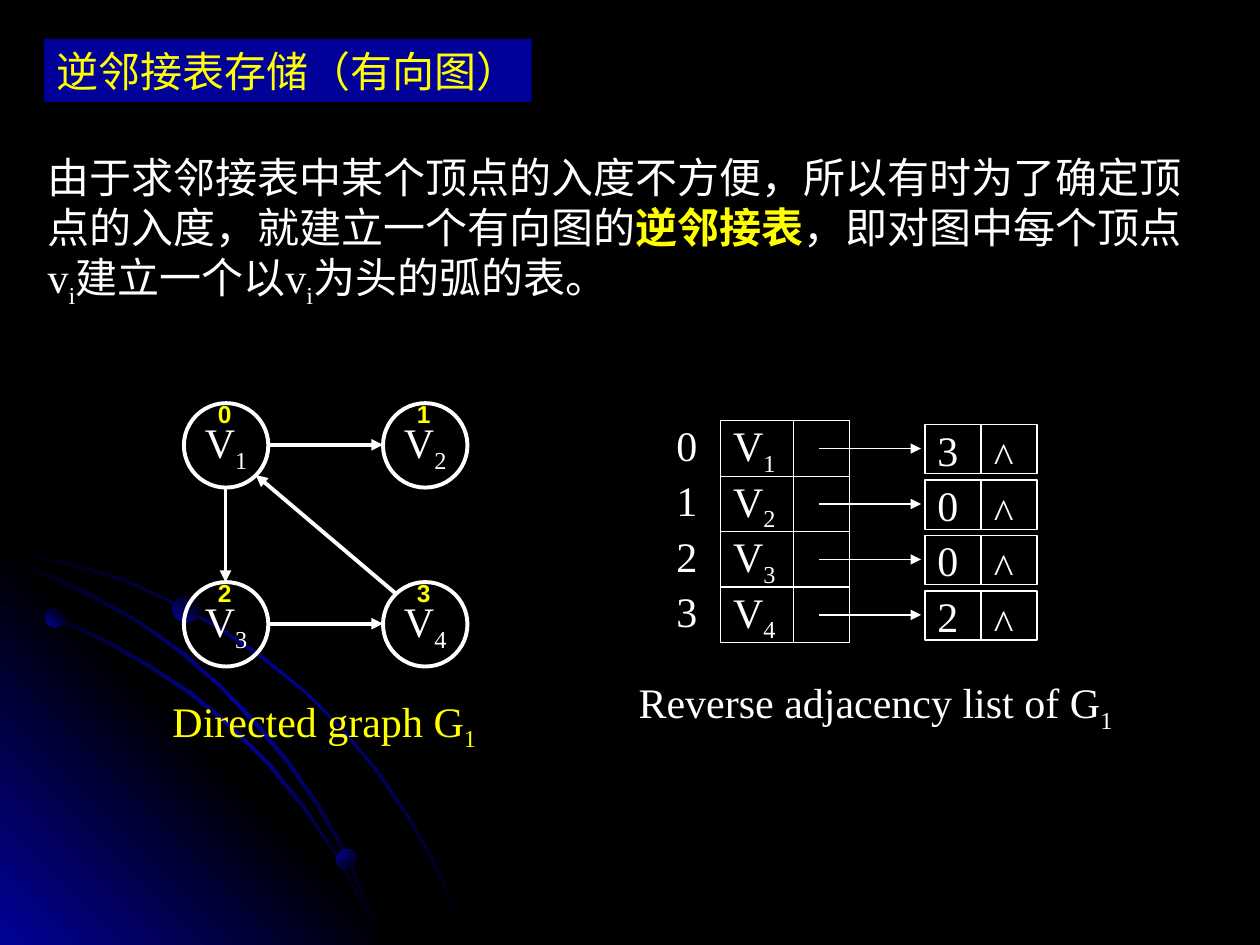
from dataclasses import dataclass

from lxml.etree import SubElement
from pptx import Presentation
from pptx.dml.color import RGBColor
from pptx.enum.shapes import MSO_CONNECTOR, MSO_SHAPE
from pptx.enum.text import MSO_ANCHOR, MSO_AUTO_SIZE, PP_ALIGN
from pptx.oxml import parse_xml
from pptx.oxml.ns import nsdecls, qn
from pptx.util import Inches, Pt

WHITE, YELLOW, BLUE, BLACK = "FFFFFF", "FFFF00", "010199", "000000"
SERIF, SANS, CJK = "Times New Roman", "Arial", "Noto Sans CJK SC"
ARC_STOPS = ((0, BLACK), (50, BLUE), (100, BLACK))
CORNER_STOPS = ((0, BLUE), (50, BLACK), (100, BLUE))
DOT_STOPS = ((0, BLUE), (100, BLACK))


@dataclass
class Piece:
    """A stretch of text with one look."""
    text: str
    color: str = WHITE
    bold: bool = False
    sub: bool = False
    size: float = 24
    font: str = SERIF


@dataclass
class Outline:
    """A background outline, with points in hundredths of an inch."""
    points: list[tuple[int, int]]
    stops: tuple
    angle: int


@dataclass
class Dot:
    left: float
    top: float
    size: float
    angle: int


OUTLINES = [
    Outline([(57, 447), (28, 441), (0, 435), (0, 438), (28, 443), (56, 449), (97, 461),
             (135, 478), (173, 499), (208, 523), (241, 549), (271, 579), (298, 612),
             (323, 649), (337, 673), (350, 698), (360, 723), (370, 749), (372, 749),
             (362, 723), (352, 698), (339, 673), (325, 648), (300, 611), (272, 578),
             (242, 548), (209, 521), (174, 497), (136, 477), (98, 459)], ARC_STOPS, 45),
    Outline([(322, 750), (0, 750), (0, 427)], CORNER_STOPS, 315),
    Outline([(285, 714), (294, 732), (301, 749), (303, 749), (296, 730), (286, 712),
             (266, 676), (242, 640), (215, 606), (184, 576), (152, 549), (117, 526),
             (79, 505), (41, 488), (0, 475), (0, 477), (39, 490), (77, 507), (115, 528),
             (150, 551), (183, 578), (213, 608), (240, 641), (265, 677)], ARC_STOPS, 45),
    Outline([(0, 442), (0, 444), (36, 457), (74, 475), (109, 494), (142, 518), (173, 544),
             (202, 575), (227, 605), (252, 641), (267, 667), (280, 694), (292, 722),
             (301, 749), (303, 749), (294, 720), (282, 693), (269, 665), (254, 639),
             (229, 603), (204, 573), (175, 543), (144, 516), (111, 493), (76, 473),
             (39, 455)], ARC_STOPS, 45),
]
DOTS = [Dot(0.36, 4.83, 0.15, 315), Dot(2.67, 6.74, 0.16, 45), Dot(1.37, 4.73, 0.21, 315)]

presentation = Presentation()
presentation.slide_width, presentation.slide_height = Inches(10), Inches(7.5)
slide = presentation.slides.add_slide(presentation.slide_layouts[6])
shapes = slide.shapes


def color(code: str) -> RGBColor:
    return RGBColor.from_string(code)


def fill_gradient(shape, stops: tuple, angle: int) -> None:
    shape.shadow.inherit = False
    shape.line.fill.background()
    shape.fill.background()
    marks = "".join(f'<a:gs pos="{place * 1000}"><a:srgbClr val="{code}"/></a:gs>'
                    for place, code in stops)
    gradient = parse_xml(f'<a:gradFill {nsdecls("a")} rotWithShape="1"><a:gsLst>{marks}'
                         f'</a:gsLst><a:lin ang="{angle * 60000}" scaled="1"/></a:gradFill>')
    properties = shape._element.spPr
    properties.replace(properties.find(qn("a:noFill")), gradient)


def write(frame, pieces: list[Piece], wrap: bool = False) -> None:
    frame.word_wrap = wrap
    paragraph = frame.paragraphs[0]
    for piece in pieces:
        run = paragraph.add_run()
        run.text = piece.text
        font = run.font
        font.name, font.size, font.bold = piece.font, Pt(piece.size), piece.bold
        font.color.rgb = color(piece.color)
        SubElement(font._element, qn("a:ea")).set("typeface", CJK)
        if piece.sub:
            font._element.set("baseline", "-25000")


def add_text(left: float, top: float, width: float, height: float,
             pieces: list[Piece], wrap: bool = False):
    box = shapes.add_textbox(Inches(left), Inches(top), Inches(width), Inches(height))
    write(box.text_frame, pieces, wrap)
    box.text_frame.auto_size = MSO_AUTO_SIZE.SHAPE_TO_FIT_TEXT
    return box


def add_outlined(kind: MSO_SHAPE, left: float, top: float, width: float, height: float,
                 weight: float, pieces: list[Piece], align: PP_ALIGN = PP_ALIGN.LEFT):
    shape = shapes.add_shape(kind, Inches(left), Inches(top), Inches(width), Inches(height))
    shape.shadow.inherit = False
    shape.fill.background()
    shape.line.color.rgb = color(WHITE)
    shape.line.width = Pt(weight)
    write(shape.text_frame, pieces)
    shape.text_frame.vertical_anchor = MSO_ANCHOR.MIDDLE
    shape.text_frame.paragraphs[0].alignment = align
    return shape


def add_line(x1: float, y1: float, x2: float, y2: float, weight: float, arrow: bool = False):
    line = shapes.add_connector(MSO_CONNECTOR.STRAIGHT,
                                Inches(x1), Inches(y1), Inches(x2), Inches(y2))
    line.line.color.rgb = color(WHITE)
    line.line.width = Pt(weight)
    properties = line._element.spPr
    if arrow:
        SubElement(properties.find(qn("a:ln")), qn("a:tailEnd")).set("type", "triangle")
    SubElement(properties, qn("a:effectLst"))
    return line


def vertex_name(number: int) -> list[Piece]:
    return [Piece("V"), Piece(str(number), sub=True)]


# Background: corner glow, arcs and dots
slide.background.fill.solid()
slide.background.fill.fore_color.rgb = color(BLACK)
for outline in OUTLINES:
    builder = shapes.build_freeform(*outline.points[0], scale=Inches(0.01))
    builder.add_line_segments(outline.points[1:], close=True)
    fill_gradient(builder.convert_to_shape(), outline.stops, outline.angle)
for dot in DOTS:
    ball = shapes.add_shape(MSO_SHAPE.OVAL, Inches(dot.left), Inches(dot.top),
                            Inches(dot.size), Inches(dot.size))
    fill_gradient(ball, DOT_STOPS, dot.angle)

# Title and explanation
title = add_text(0.35, 0.31, 3.87, 0.5,
                 [Piece("逆邻接表存储（有向图）", YELLOW, font=CJK)])
title.fill.solid()
title.fill.fore_color.rgb = color(BLUE)
add_text(0.28, 1.15, 9.23, 1.31, [
    Piece("由于求邻接表中某个顶点的入度不方便，所以有时为了确定顶点的入度，就建立一个有向图的"),
    Piece("逆邻接表", YELLOW, bold=True),
    Piece("，即对图中每个顶点v"), Piece("i", sub=True),
    Piece("建立一个以v"), Piece("i", sub=True),
    Piece("为头的弧的表。"),
], wrap=True)

# Reverse adjacency list: head cell, arrow and one arc node per row
ROW_HEIGHT = 0.44
for row, source in enumerate((3, 0, 0, 2)):
    top = 3.34 + row * ROW_HEIGHT
    add_text(5.27, top - 0.06, 0.37, 0.5, [Piece(str(row))])
    add_outlined(MSO_SHAPE.RECTANGLE, 5.72, top, 1.02, ROW_HEIGHT, 0.75, vertex_name(row + 1))
    add_line(6.3, top, 6.3, top + ROW_HEIGHT, 0.75)
    node_top = top + 0.03
    node = add_outlined(MSO_SHAPE.RECTANGLE, 7.34, node_top, 0.89, 0.39, 0.75,
                        [Piece(str(source))])
    divider = add_line(7.78, node_top, 7.78, node_top + 0.39, 0.75)
    divider.begin_connect(node, 0)
    divider.end_connect(node, 2)
    add_text(7.79, node_top, 0.36, 0.39, [Piece("^")])
    add_line(6.5, top + 0.22, 7.31, top + 0.22, 0.75, arrow=True)
add_text(4.97, 5.32, 4.01, 0.5, [Piece("Reverse adjacency list of G"), Piece("1", sub=True)])

# Directed graph: vertices on a two by two grid, then edges
DIAMETER = 0.67
for index in range(4):
    left, top = 1.46 + index % 2 * 1.58, 3.2 + index // 2 * 1.42
    add_outlined(MSO_SHAPE.OVAL, left, top, DIAMETER, DIAMETER, 2.25,
                 vertex_name(index + 1), PP_ALIGN.CENTER)
    add_text(left + 0.17, top - 0.08, 0.31, 0.34,
             [Piece(str(index), YELLOW, bold=True, size=14, font=SANS)])
for edge in ((2.12, 3.53, 3.04, 3.53), (1.79, 3.87, 1.79, 4.62),
             (2.12, 4.95, 3.04, 4.95), (3.14, 4.71, 2.03, 3.77)):
    add_line(*edge, weight=2.25, arrow=True)
add_text(1.27, 5.47, 2.62, 0.5,
         [Piece("Directed graph G", YELLOW), Piece("1", YELLOW, sub=True)])

presentation.save("out.pptx")
